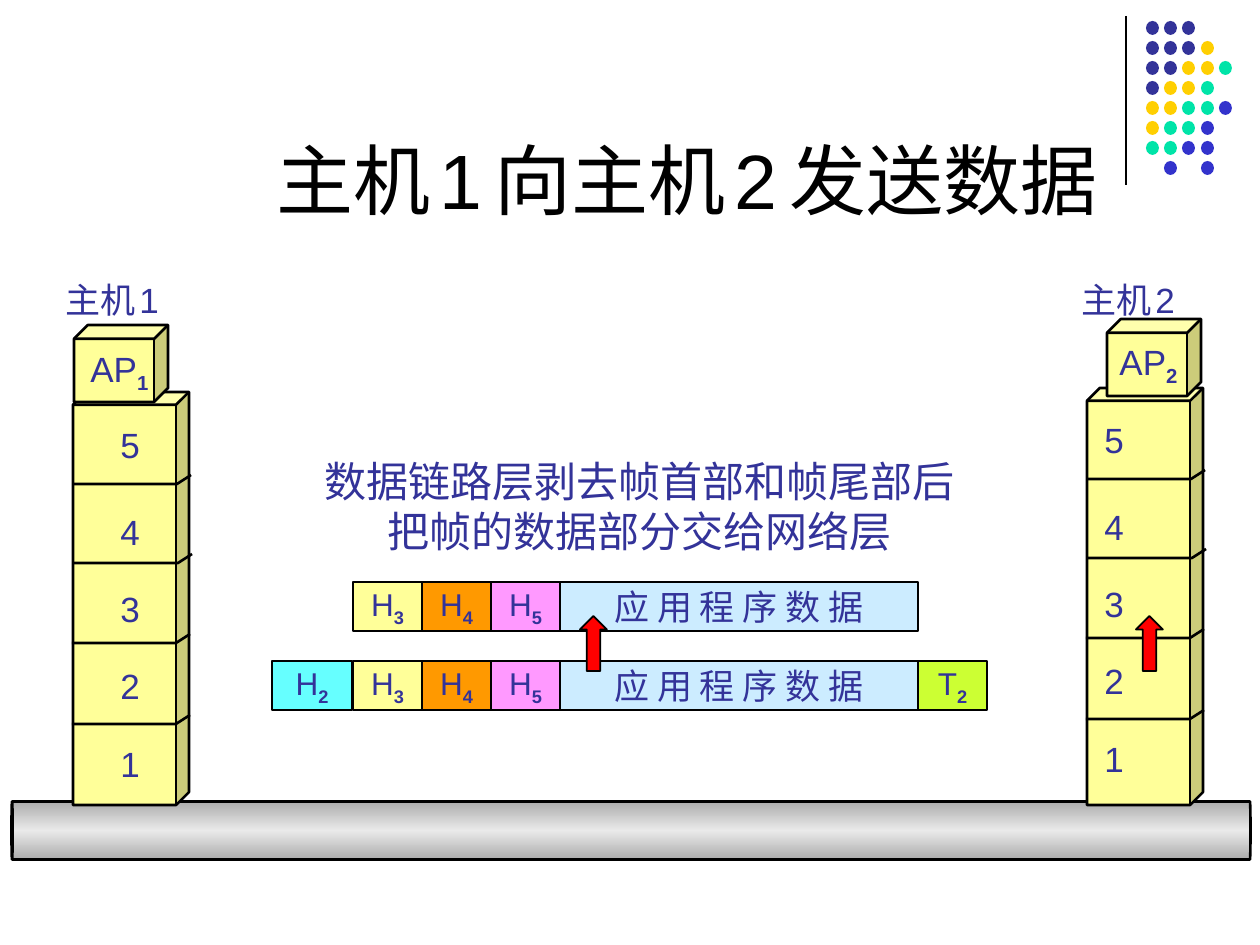
from copy import deepcopy
from dataclasses import dataclass

from pptx import Presentation
from pptx.dml.color import RGBColor
from pptx.enum.shapes import MSO_CONNECTOR as Link, MSO_SHAPE as Kind
from pptx.enum.text import MSO_ANCHOR as Anchor, MSO_AUTO_SIZE as Fit, PP_ALIGN as Align
from pptx.oxml.ns import qn
from pptx.util import Emu, Pt

INK, BLACK, CREAM = "333399", "000000", "FFFF99"
DOTS = {"n": INK, "y": "FFCF01", "g": "00E4A8", "b": "3333CC"}
GRID = ["nnn", "nnny", "nnyyg", "nyyg", "yyggb", "yggb", "ggbb", " b b"]


@dataclass
class Run:
    text: str
    size: int = 20
    sub: bool = False


@dataclass
class Cell:
    left: int
    width: int
    fill: str
    runs: list[Run]
    font: str = "Arial"


@dataclass
class Host:
    name: str
    label: int
    left: int
    top: int
    nums: int
    rise: int
    app: tuple[int, int]
    tag: tuple[int, int]


def px(val: int) -> Emu:
    return Emu(round(val * 914400 / 126))


def rgb(hexa: str) -> RGBColor:
    return RGBColor.from_string(hexa)


def write(para, runs: list[Run], color: str = INK, font: str = "Arial") -> None:
    for part in runs:
        run = para.add_run()
        run.text = part.text
        run.font.size = Pt(part.size)
        run.font.name = font
        run.font.color.rgb = rgb(color)
        if part.sub:
            run.font.bold = True
            run.font._element.set("baseline", "-25000")


def label(box: tuple[int, int, int, int], *lines: list[Run],
          align=Align.LEFT, wrap: bool = False) -> None:
    frame = slide.shapes.add_textbox(*map(px, box)).text_frame
    frame.word_wrap = wrap
    frame.auto_size = Fit.SHAPE_TO_FIT_TEXT
    for num, runs in enumerate(lines):
        para = frame.add_paragraph() if num else frame.paragraphs[0]
        para.alignment = align
        write(para, runs)


def shape(kind, box: tuple[int, int, int, int], fill: str = "", line: float = 0):
    item = slide.shapes.add_shape(kind, *map(px, box))
    item.shadow.inherit = False
    if fill:
        item.fill.solid()
        item.fill.fore_color.rgb = rgb(fill)
    if line:
        item.line.color.rgb = rgb(BLACK)
        item.line.width = Pt(line)
    else:
        item.line.fill.background()
    return item


def frame_row(top: int, cells: list[Cell]) -> None:
    for cell in cells:
        item = shape(Kind.RECTANGLE, (cell.left, top, cell.width, 49), cell.fill, 0.75)
        text = item.text_frame
        text.word_wrap = False
        text.vertical_anchor = Anchor.MIDDLE
        text.paragraphs[0].alignment = Align.CENTER
        write(text.paragraphs[0], cell.runs, font=cell.font)


def cut(left: int, top: int) -> None:
    pen = slide.shapes.build_freeform(px(left), px(top), scale=1.0)
    pen.add_line_segments(
        [(px(left + 104), px(top)), (px(left + 118), px(top - 9))], close=False)
    item = pen.convert_to_shape()
    item.shadow.inherit = False
    item.fill.background()
    item.line.color.rgb = rgb(BLACK)
    item.line.width = Pt(1.5)


def tower(host: Host) -> None:
    cube = shape(Kind.CUBE, (host.left, host.top, 116, 805 - host.top), CREAM, 1.5)
    cube.adjustments[0] = 0.11
    for num, top in zip("54321", (417, 504, 581, 658, 736)):
        label((host.nums, top - host.rise, 44, 55), [Run(num)])
    for shift, top in ((0, 484), (1, 563), (-1, 643), (-1, 724)):
        cut(host.left + shift, top - host.rise)
    app = shape(Kind.CUBE, (*host.app, 94, 77), CREAM, 1.5)
    app.adjustments[0] = 0.18
    label((*host.tag, 83, 60), [Run("AP"), Run(host.name, sub=True)])
    label((host.label, 272, 150, 55),
          [Run("主机"), Run(" ", 10), Run(host.name)], wrap=True)


def head(left: int, width: int, fill: str, name: str, num: str) -> Cell:
    return Cell(left, width, fill, [Run(name, 18), Run(num, 18, True)])


def title() -> None:
    item = slide.shapes.title
    item.left, item.top, item.width, item.height = map(px, (159, 29, 1073, 202))
    text = item.text_frame
    text.auto_size = Fit.NONE
    text.word_wrap = True
    text.vertical_anchor = Anchor.BOTTOM
    text.paragraphs[0].alignment = Align.CENTER
    gap = Run(" ", 24)
    write(text.paragraphs[0], [Run("主机", 44), gap, Run("1", 44), gap, Run("向主机", 44),
                               gap, Run("2", 44), gap, Run("发送数据 ", 44)], BLACK)


def corner() -> None:
    rule = slide.shapes.add_connector(Link.STRAIGHT, px(1126), px(16), px(1126), px(185))
    rule.line.color.rgb = rgb(BLACK)
    rule.line.width = Pt(0.75)
    rule._element.spPr.append(rule._element.makeelement(qn("a:effectLst"), {}))
    for row, keys in enumerate(GRID):
        for col, key in enumerate(keys):
            if key in DOTS:
                shape(Kind.OVAL, (1146 + col * 55 // 3, 21 + row * 20, 13, 14), DOTS[key])


def cable() -> None:
    item = shape(Kind.CAN, (602, 211, 58, 1239), line=1.5)
    item.rotation = 270
    item.adjustments[0] = 0.02
    item.fill.gradient()
    item.fill.gradient_angle = 0
    stops = item.fill.gradient_stops
    for stop, tone in zip(stops, ("ACACAC", "EAEAEA")):
        stop.color.rgb = rgb(tone)
    stops[0].position, stops[1].position = 0, 0.5
    first, mid = item._element.spPr.findall(".//" + qn("a:gs"))
    last = deepcopy(first)
    last.set("pos", "100000")
    mid.addnext(last)


deck = Presentation()
deck.slide_width, deck.slide_height = px(1260), px(945)
slide = deck.slides.add_slide(deck.slide_layouts[5])

packet = [
    head(353, 69, CREAM, "H", "3"),
    head(422, 69, "FF9900", "H", "4"),
    head(491, 69, "FF99FF", "H", "5"),
    Cell(560, 358, "CCECFF", [Run("应 用 程 序 数 据")], "Lato"),
]
ends = [head(272, 80, "66FFFF", "H", "2"), head(918, 69, "CCFF33", "T", "2")]
hosts = [
    Host("1", 53, 73, 392, 108, 0, (74, 325), (78, 341)),
    Host("2", 1069, 1087, 388, 1092, 5, (1107, 319), (1107, 334)),
]

corner()
title()
cable()
for host in hosts:
    tower(host)
label((312, 449, 655, 113), [Run("数据链路层剥去帧首部和帧尾部后", 24)],
      [Run("把帧的数据部分交给网络层", 24)], align=Align.CENTER)
frame_row(582, packet)
frame_row(661, ends + packet)
for left in (1136, 580):
    arrow = shape(Kind.UP_ARROW, (left, 616, 27, 55), "FF0000", 1)
    arrow.adjustments[0] = arrow.adjustments[1] = 0.5

deck.save("out.pptx")
